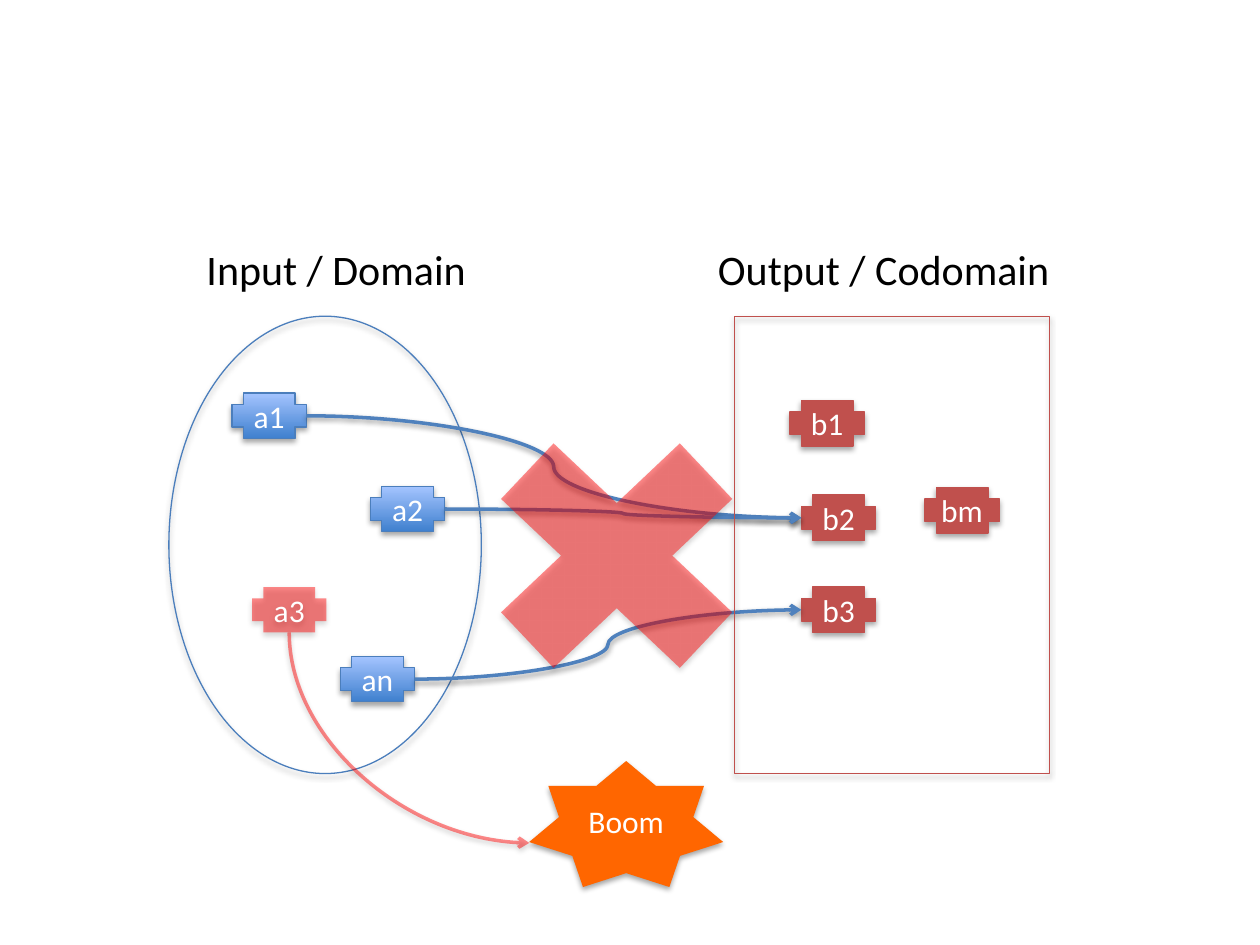
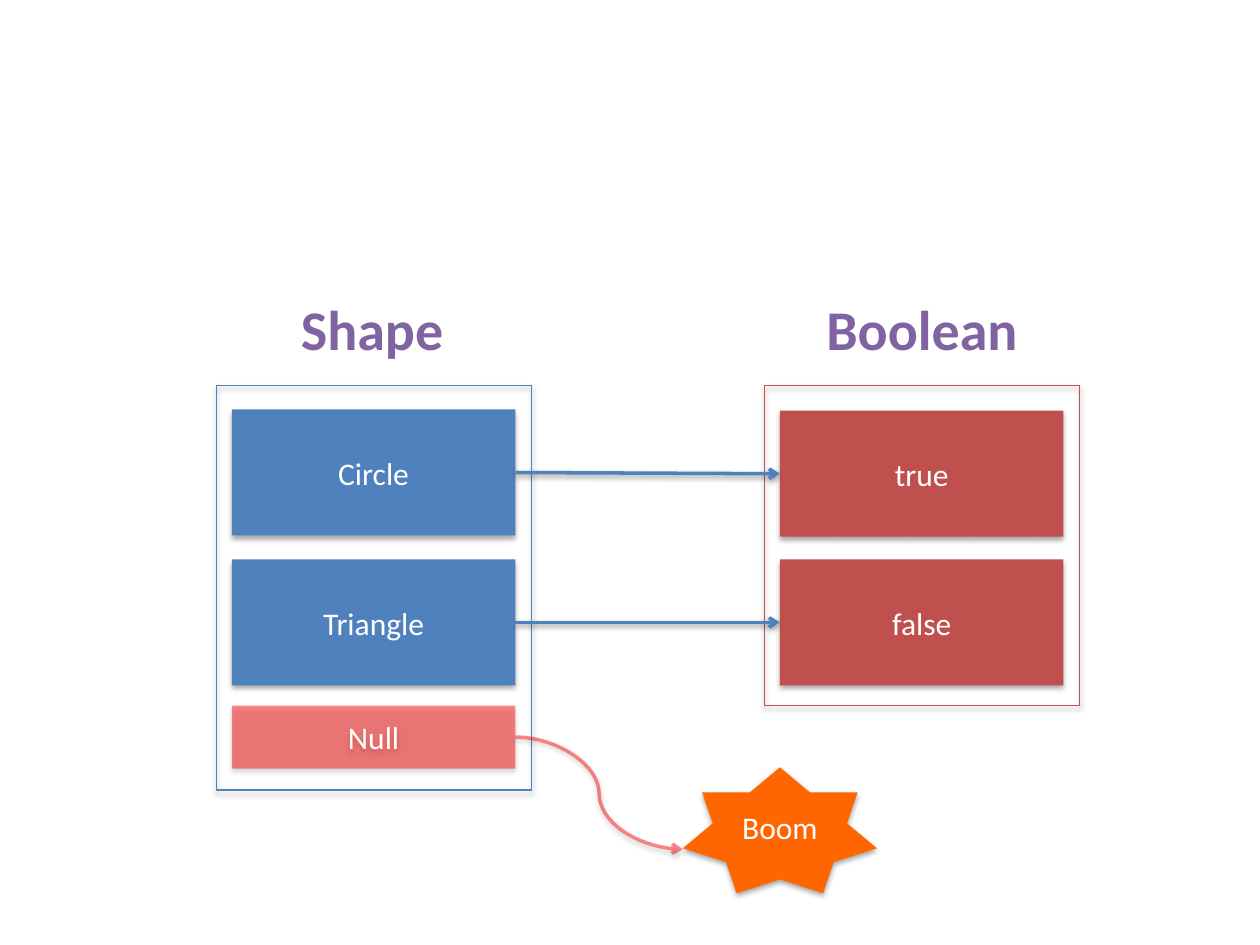
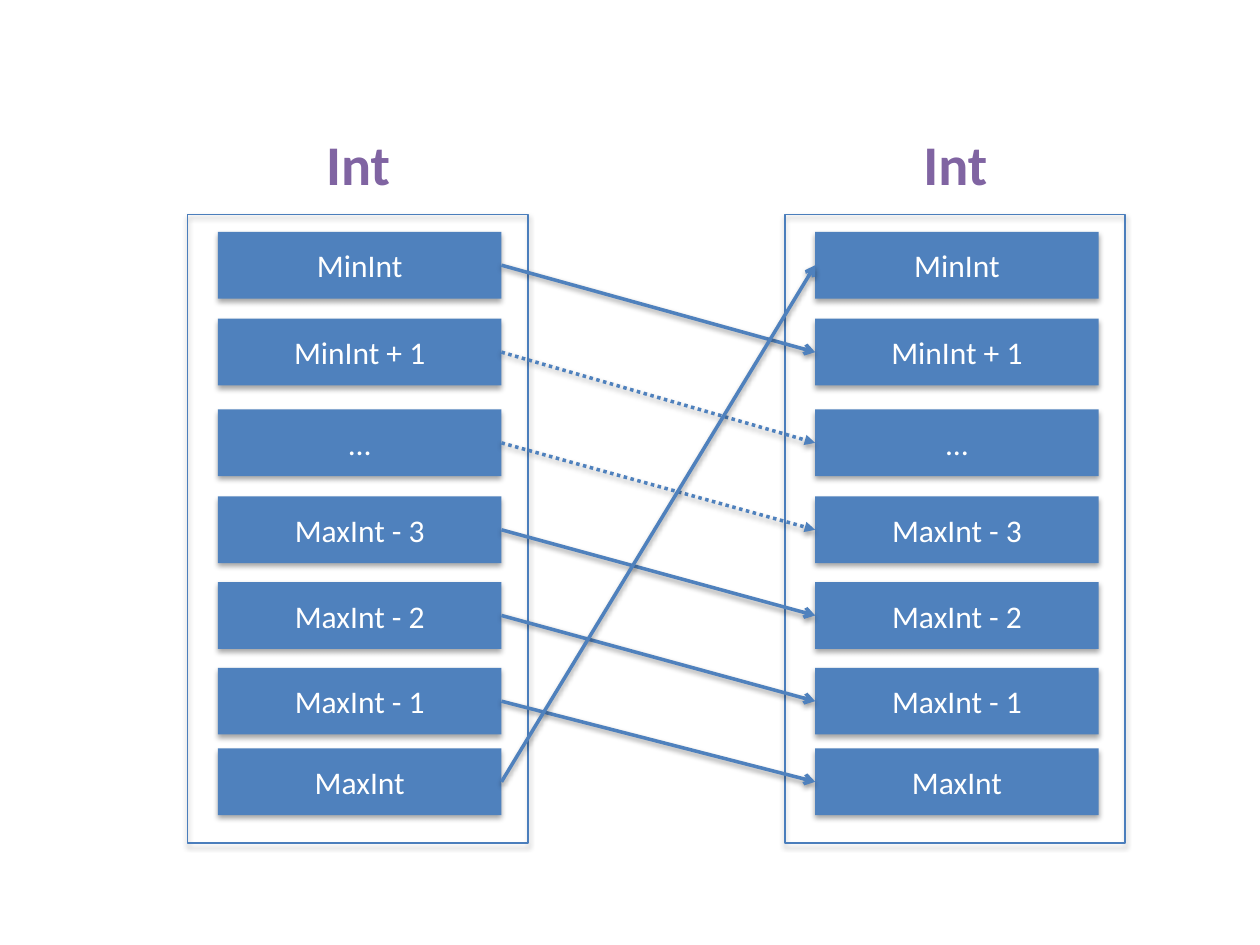
from lxml.etree import SubElement
from pptx import Presentation
from pptx.dml.color import RGBColor
from pptx.enum.dml import MSO_LINE
from pptx.enum.shapes import MSO_CONNECTOR as Link, MSO_SHAPE as Form
from pptx.enum.text import MSO_ANCHOR, MSO_AUTO_SIZE, PP_ALIGN
from pptx.oxml.ns import qn
from pptx.util import Inches, Pt

FONT = "Calibri"
BLACK, WHITE = "000000", "FFFFFF"
BLUE, EDGE_BLUE = "4F81BD", "4B7EBC"
RED, PURPLE, ORANGE = "C0504D", "8064A2", "FF6600"
ALERT = "FF0000"
GRADIENT = ("3F80CE", "A4C4FF")
ALERT_OPACITY = 46
TOP, LEFT, BOTTOM, RIGHT = range(4)


def color(value):
    return RGBColor.from_string(value)


def set_solid(fill, value):
    """Fill with one colour; the alert colour is see-through."""
    fill.solid()
    fill.fore_color.rgb = color(value)
    if value == ALERT:
        tint = fill._xPr.find(qn("a:solidFill"))[0]
        SubElement(tint, qn("a:alpha"), val=str(ALERT_OPACITY * 1000))


def add_shadow(item, opacity, distance):
    effects = SubElement(item._element.spPr, qn("a:effectLst"))
    shadow = SubElement(effects, qn("a:outerShdw"), blurRad="40000",
                        dist=str(distance), dir="5400000", rotWithShape="0")
    tint = SubElement(shadow, qn("a:srgbClr"), val=BLACK)
    SubElement(tint, qn("a:alpha"), val=str(opacity * 1000))


def write(frame, text, size, ink, bold=False, align=PP_ALIGN.LEFT):
    frame.text = text
    frame.word_wrap = False
    para = frame.paragraphs[0]
    para.alignment = align
    font = para.runs[0].font
    font.name, font.size, font.bold = FONT, Pt(size), bold
    font.color.rgb = color(ink)


def add_heading(page, text, left, top, width, height=0.64, size=32, ink=PURPLE, bold=True):
    box = page.shapes.add_textbox(*map(Inches, (left, top, width, height)))
    write(box.text_frame, text, size, ink, bold)
    box.text_frame.auto_size = MSO_AUTO_SIZE.SHAPE_TO_FIT_TEXT


def add_box(page, form, place, fill=None, edge=None, label=None):
    """Add a shadowed shape; fill is a colour, a pair for a gradient, or None."""
    box = page.shapes.add_shape(form, *map(Inches, place))
    if fill is None:
        box.fill.background()
    elif isinstance(fill, tuple):
        box.fill.gradient()
        box.fill.gradient_angle = 90
        for stop, position, shade in zip(box.fill.gradient_stops, (0, 1), fill):
            stop.position = position
            stop.color.rgb = color(shade)
    else:
        set_solid(box.fill, fill)
    if edge:
        set_solid(box.line.fill, edge)
        box.line.width = Pt(0.75)
    else:
        box.line.fill.background()
    add_shadow(box, 35, 23000)
    if label:
        box.text_frame.vertical_anchor = MSO_ANCHOR.MIDDLE
        write(box.text_frame, label, 18, WHITE, align=PP_ALIGN.CENTER)
    return box


def add_node(page, label, left, top, fill, edge):
    return add_box(page, Form.CROSS, (left, top, 0.59, 0.36), fill, edge, label)


def add_boom(page, left, top):
    return add_box(page, Form.STAR_7_POINT, (left, top, 1.54, 1), ORANGE, label="Boom")


def boom_tip(boom):
    """Return the left tip of the star."""
    return boom.left, boom.top + Inches(0.65)


def style_arrow(arrow, ink=BLUE, dotted=False):
    set_solid(arrow.line.fill, ink)
    arrow.line.width = Pt(2)
    if dotted:
        arrow.line.dash_style = MSO_LINE.ROUND_DOT
    SubElement(arrow.line._get_or_add_ln(), qn("a:tailEnd"),
               type="triangle" if dotted else "arrow")
    add_shadow(arrow, 38, 20000)


def connect(page, source, target, kind=Link.STRAIGHT, dotted=False):
    """Glue an arrow from the right of source to the left of target."""
    arrow = page.shapes.add_connector(kind, 0, 0, 0, 0)
    arrow.begin_connect(source, RIGHT)
    arrow.end_connect(target, LEFT)
    style_arrow(arrow, dotted=dotted)


def add_quarter_curve(page, start, end):
    """Add an alert arrow that leaves downwards and arrives from the left."""
    (x1, y1), (x2, y2) = start, end
    middle_x, middle_y = (x1 + x2) // 2, (y1 + y2) // 2
    half_width, half_height = (y2 - y1) // 2, (x2 - x1) // 2
    arrow = page.shapes.add_connector(
        Link.CURVE, middle_x + half_width, middle_y - half_height,
        middle_x - half_width, middle_y + half_height)
    properties = arrow._element.spPr
    properties.find(qn("a:xfrm")).set("rot", "16200000")
    properties.find(qn("a:prstGeom")).set("prst", "curvedConnector2")
    style_arrow(arrow, ALERT)


def build_partial_mapping(page):
    add_box(page, Form.OVAL, (1.34, 2.51, 2.48, 3.63), edge=EDGE_BLUE)
    for text, left, width in (("Input / Domain", 1.54, 2.28), ("Output / Codomain", 5.6, 2.86)):
        add_heading(page, text, left, 1.88, width, 0.5, 24, BLACK, False)

    nodes = {}
    for label, left, top in (("a1", 1.84, 3.12), ("a2", 2.94, 3.86),
                             ("a3", 2, 4.66), ("an", 2.7, 5.21)):
        fill, edge = (ALERT, None) if label == "a3" else (GRADIENT, EDGE_BLUE)
        nodes[label] = add_node(page, label, left, top, fill, edge)
    for label, left, top in (("b1", 6.27, 3.18), ("b2", 6.36, 3.93),
                             ("b3", 6.36, 4.66), ("bm", 7.34, 3.87)):
        nodes[label] = add_node(page, label, left, top, RED, RED)

    for source, target in (("a1", "b2"), ("a2", "b2"), ("an", "b3")):
        connect(page, nodes[source], nodes[target], Link.CURVE)
    boom = add_boom(page, 4.2, 6.04)
    lost = nodes["a3"]
    add_quarter_curve(page, (lost.left + lost.width // 2, lost.top + lost.height), boom_tip(boom))
    add_box(page, Form.MATH_MULTIPLY, (3.53, 3.12, 2.73, 2.58), ALERT)
    add_box(page, Form.RECTANGLE, (5.83, 2.51, 2.5, 3.63), edge=RED)


def build_shape_to_boolean(page):
    add_heading(page, "Shape", 2.29, 2.29, 1.34)
    add_heading(page, "Boolean", 6.46, 2.29, 1.73)
    add_box(page, Form.RECTANGLE, (1.72, 3.06, 2.5, 3.21), edge=BLUE)
    add_box(page, Form.RECTANGLE, (6.07, 3.06, 2.5, 2.54), edge=RED)
    for shape_name, shape_top, answer, answer_top in (
            ("Circle", 3.25, "true", 3.26), ("Triangle", 4.44, "false", 4.44)):
        source = add_box(page, Form.RECTANGLE, (1.84, shape_top, 2.25, 1), BLUE, label=shape_name)
        target = add_box(page, Form.RECTANGLE, (6.19, answer_top, 2.25, 1), RED, label=answer)
        connect(page, source, target)

    null = add_box(page, Form.RECTANGLE, (1.84, 5.6, 2.25, 0.5), ALERT, label="Null")
    boom = add_boom(page, 5.42, 6.09)
    arrow = page.shapes.add_connector(
        Link.CURVE, null.left + null.width, null.top + null.height // 2, *boom_tip(boom))
    style_arrow(arrow, ALERT)


def build_int_successor(page):
    rows = (("MinInt", 1.84), ("MinInt + 1", 2.53), ("…", 3.25), ("MaxInt - 3", 3.94),
            ("MaxInt - 2", 4.62), ("MaxInt - 1", 5.3), ("MaxInt", 5.94))
    columns = []
    for left in (1.49, 6.23):
        add_heading(page, "Int", left + 1, 0.98, 0.72)
        add_box(page, Form.RECTANGLE, (left, 1.7, 2.7, 4.99), edge=EDGE_BLUE)
        columns.append([add_box(page, Form.RECTANGLE, (left + 0.24, top, 2.25, 0.53),
                                BLUE, label=label) for label, top in rows])
    inputs, outputs = columns
    for index, source in enumerate(inputs):
        successor = outputs[(index + 1) % len(outputs)]
        connect(page, source, successor, dotted=index in (1, 2))


def main():
    deck = Presentation()
    deck.slide_width, deck.slide_height = Inches(10), Inches(7.5)
    for build in (build_partial_mapping, build_shape_to_boolean, build_int_successor):
        build(deck.slides.add_slide(deck.slide_layouts[6]))
    deck.save("out.pptx")


if __name__ == "__main__":
    main()
